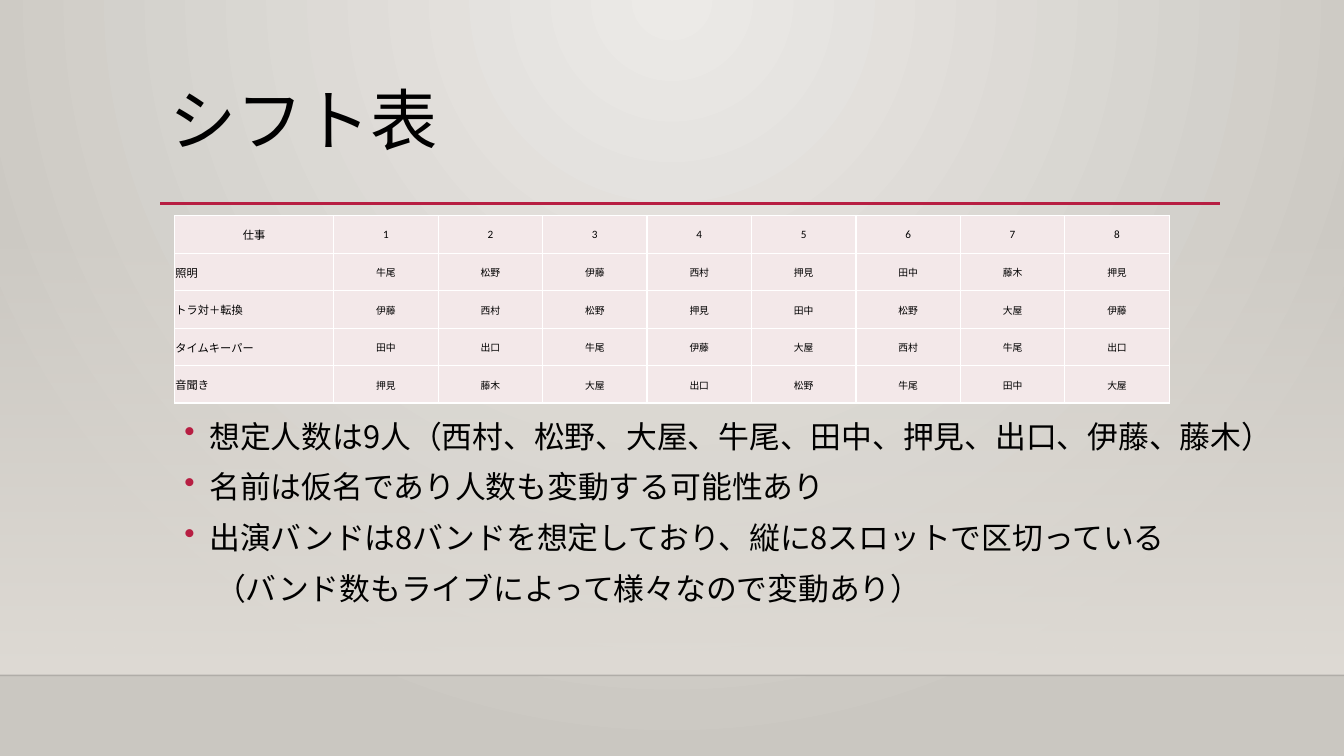
import pptx
import pptx.dml.color
import pptx.enum.shapes
import pptx.enum.text
import pptx.oxml
import pptx.oxml.ns
import pptx.util
from pptx.util import Inches

BLACK = pptx.dml.color.RGBColor(0x00, 0x00, 0x00)
WHITE = pptx.dml.color.RGBColor(0xFF, 0xFF, 0xFF)
CRIMSON = pptx.dml.color.RGBColor(0xB7, 0x1E, 0x42)
CELL_PINK = pptx.dml.color.RGBColor(0xF3, 0xE8, 0xE9)
SAND = pptx.dml.color.RGBColor(0xDF, 0xDB, 0xD5)
LIGHT_GREY = pptx.dml.color.RGBColor(0xEC, 0xEA, 0xE7)
DARK_GREY = pptx.dml.color.RGBColor(0xCA, 0xC7, 0xC1)
JAPANESE_FONT = "Noto Sans CJK JP"
qn = pptx.oxml.ns.qn


def add_xml(parent, xml):
    """Append a DrawingML element written without its namespace declaration."""
    tag, rest = xml[:-2].split(" ", 1) if xml.endswith("/>") and " " in xml.split(">")[0] else (None, None)
    namespace = pptx.oxml.ns.nsdecls("a")
    source = f"{tag} {namespace} {rest}/>" if tag and xml.count("<") == 1 else xml.replace(">", f" {namespace}>", 1)
    parent.append(pptx.oxml.parse_xml(source))


def set_gradient(element, stops, direction):
    """Replace the stops and direction of the gradient inside element."""
    gradient = element.find(".//" + qn("a:gradFill"))
    for child in list(gradient):
        gradient.remove(child)
    stop_xml = "".join(
        f'<a:gs pos="{position * 1000}"><a:srgbClr val="{color}"><a:alpha val="{alpha * 1000}"/></a:srgbClr></a:gs>'
        for position, color, alpha in stops)
    add_xml(gradient, f"<a:gsLst>{stop_xml}</a:gsLst>")
    add_xml(gradient, direction)


presentation = pptx.Presentation()
presentation.slide_width = Inches(13.33)
presentation.slide_height = Inches(7.5)
slide = presentation.slides.add_slide(presentation.slide_layouts[6])

# Background glow from the top centre
slide.background.fill.gradient()
set_gradient(slide.element, [(0, LIGHT_GREY, 100), (100, DARK_GREY, 100)],
             '<a:path path="circle"><a:fillToRect l="43000" t="0" r="43000" b="100000"/></a:path>')

# Wall fading in towards the floor
wall = slide.shapes.add_shape(pptx.enum.shapes.MSO_SHAPE.RECTANGLE,
                              Inches(0), Inches(2.21), Inches(13.33), Inches(4.49))
wall.shadow.inherit = False
wall.line.fill.background()
wall.fill.gradient()
set_gradient(wall.element, [(0, SAND, 0), (100, SAND, 100)], '<a:lin ang="5400000" scaled="0"/>')

# Floor edge and title rule
for left, right, top, color, width, alpha in [(0, 13.33, 6.7, BLACK, 1, 20),
                                              (1.59, 12.1, 2.02, CRIMSON, 2.5, 100)]:
    rule = slide.shapes.add_connector(pptx.enum.shapes.MSO_CONNECTOR.STRAIGHT,
                                      Inches(left), Inches(top), Inches(right), Inches(top))
    rule.line.color.rgb = color
    rule.line.width = pptx.util.Pt(width)
    add_xml(rule.element.find(".//" + qn("a:srgbClr")), f'<a:alpha val="{alpha * 1000}"/>')
    add_xml(rule.element.spPr, "<a:effectLst></a:effectLst>")

# Shift table
shifts = [
    ["仕事", "1", "2", "3", "4", "5", "6", "7", "8"],
    ["照明", "牛尾", "松野", "伊藤", "西村", "押見", "田中", "藤木", "押見"],
    ["トラ対＋転換", "伊藤", "西村", "松野", "押見", "田中", "松野", "大屋", "伊藤"],
    ["タイムキーパー", "田中", "出口", "牛尾", "伊藤", "大屋", "西村", "牛尾", "出口"],
    ["音聞き", "押見", "藤木", "大屋", "出口", "松野", "牛尾", "田中", "大屋"],
]
table = slide.shapes.add_table(len(shifts), len(shifts[0]), Inches(1.73), Inches(2.14),
                               Inches(9.87), Inches(1.86)).table
for index, column in enumerate(table.columns):
    column.width = Inches(1.58 if index == 0 else 1.036)
for row in table.rows:
    row.height = Inches(1.86 / len(shifts))
for row_index, names in enumerate(shifts):
    for column_index, name in enumerate(names):
        cell = table.cell(row_index, column_index)
        is_job = row_index > 0 and column_index == 0
        cell.text = name
        cell.vertical_anchor = pptx.enum.text.MSO_ANCHOR.MIDDLE
        cell.margin_left = cell.margin_right = cell.margin_top = Inches(0.01)
        cell.margin_bottom = 0
        paragraph = cell.text_frame.paragraphs[0]
        paragraph.alignment = pptx.enum.text.PP_ALIGN.LEFT if is_job else pptx.enum.text.PP_ALIGN.CENTER
        paragraph.font.name = "Calibri"
        paragraph.font.size = pptx.util.Pt(8 if is_job or row_index == 0 else 7)
        paragraph.font.color.rgb = BLACK
        properties = cell._tc.get_or_add_tcPr()
        for side in ("lnL", "lnR", "lnT", "lnB"):
            add_xml(properties, f'<a:{side}><a:solidFill><a:srgbClr val="{WHITE}"/></a:solidFill></a:{side}>')
            properties[-1].set("w", str(pptx.util.Pt(1)))
        cell.fill.solid()
        cell.fill.fore_color.rgb = CELL_PINK

# Title and notes on the table: box, size, line spacing, space before, (text, bulleted)
text_blocks = [
    ((1.58, 0.82, 10.5, 1.16), 48, 0.9, 0, [("シフト表", False)]),
    ((1.73, 4.09, 11.33, 2.4), 22, 1.0, 10, [
        ("想定人数は9人（西村、松野、大屋、牛尾、田中、押見、出口、伊藤、藤木）", True),
        ("名前は仮名であり人数も変動する可能性あり", True),
        ("出演バンドは8バンドを想定しており、縦に8スロットで区切っている", True),
        ("　（バンド数もライブによって様々なので変動あり）", False),
    ]),
]
for box, size, line_spacing, space_before, lines in text_blocks:
    text_frame = slide.shapes.add_textbox(*map(Inches, box)).text_frame
    text_frame.word_wrap = True
    text_frame.text = "\n".join(text for text, bulleted in lines)
    for paragraph, (text, bulleted) in zip(text_frame.paragraphs, lines):
        paragraph.line_spacing = line_spacing
        paragraph.space_before = pptx.util.Pt(space_before)
        properties = paragraph._p.get_or_add_pPr()
        if bulleted:
            properties.set("marL", str(Inches(0.25)))
            properties.set("indent", str(Inches(-0.25)))
            add_xml(properties, f'<a:buClr><a:srgbClr val="{CRIMSON}"/></a:buClr>')
            add_xml(properties, '<a:buChar char="•"/>')
        paragraph.font.size = pptx.util.Pt(size)
        paragraph.font.color.rgb = BLACK
        paragraph.font.name = JAPANESE_FONT
        add_xml(properties.find(qn("a:defRPr")), f'<a:ea typeface="{JAPANESE_FONT}"/>')

presentation.save("out.pptx")
